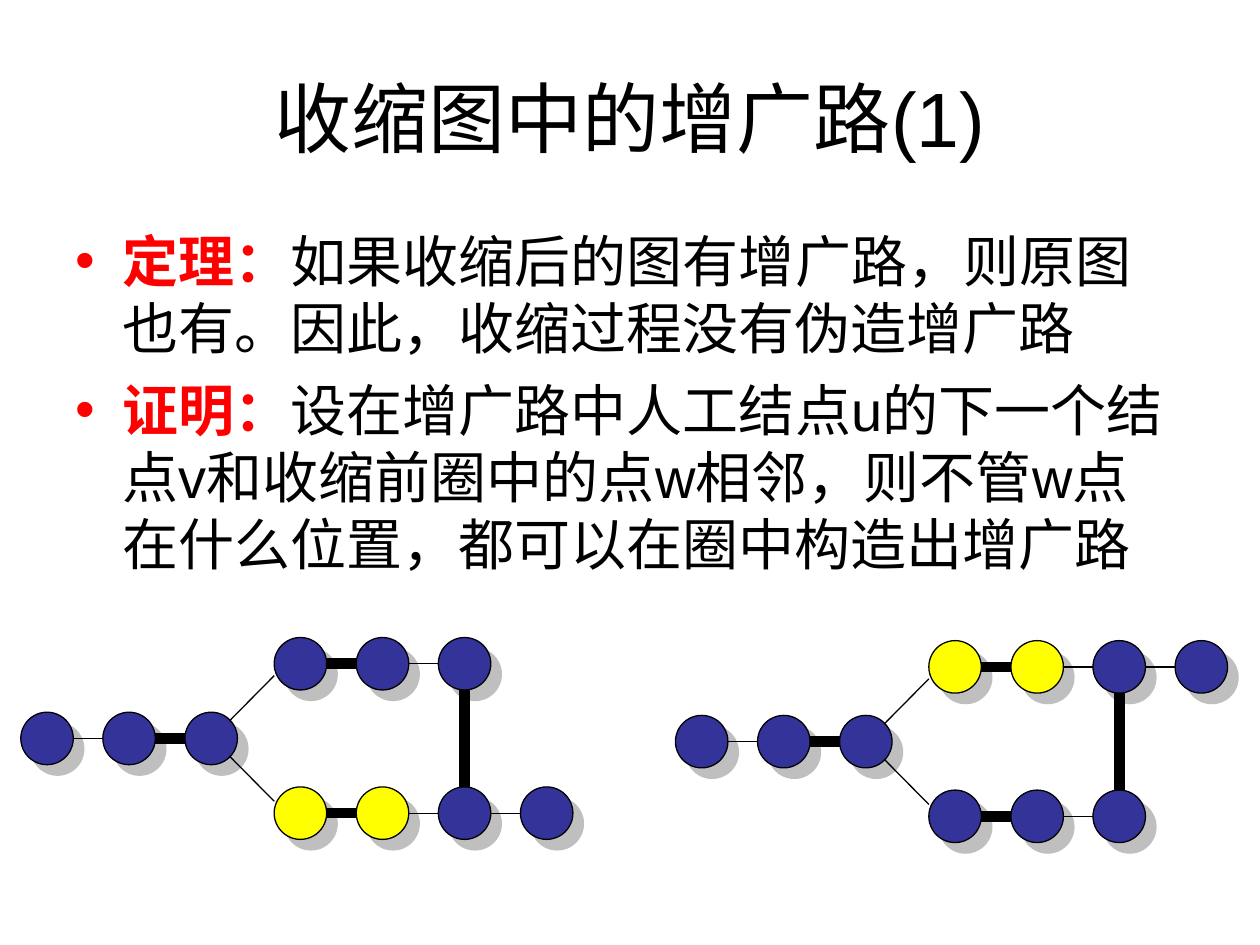
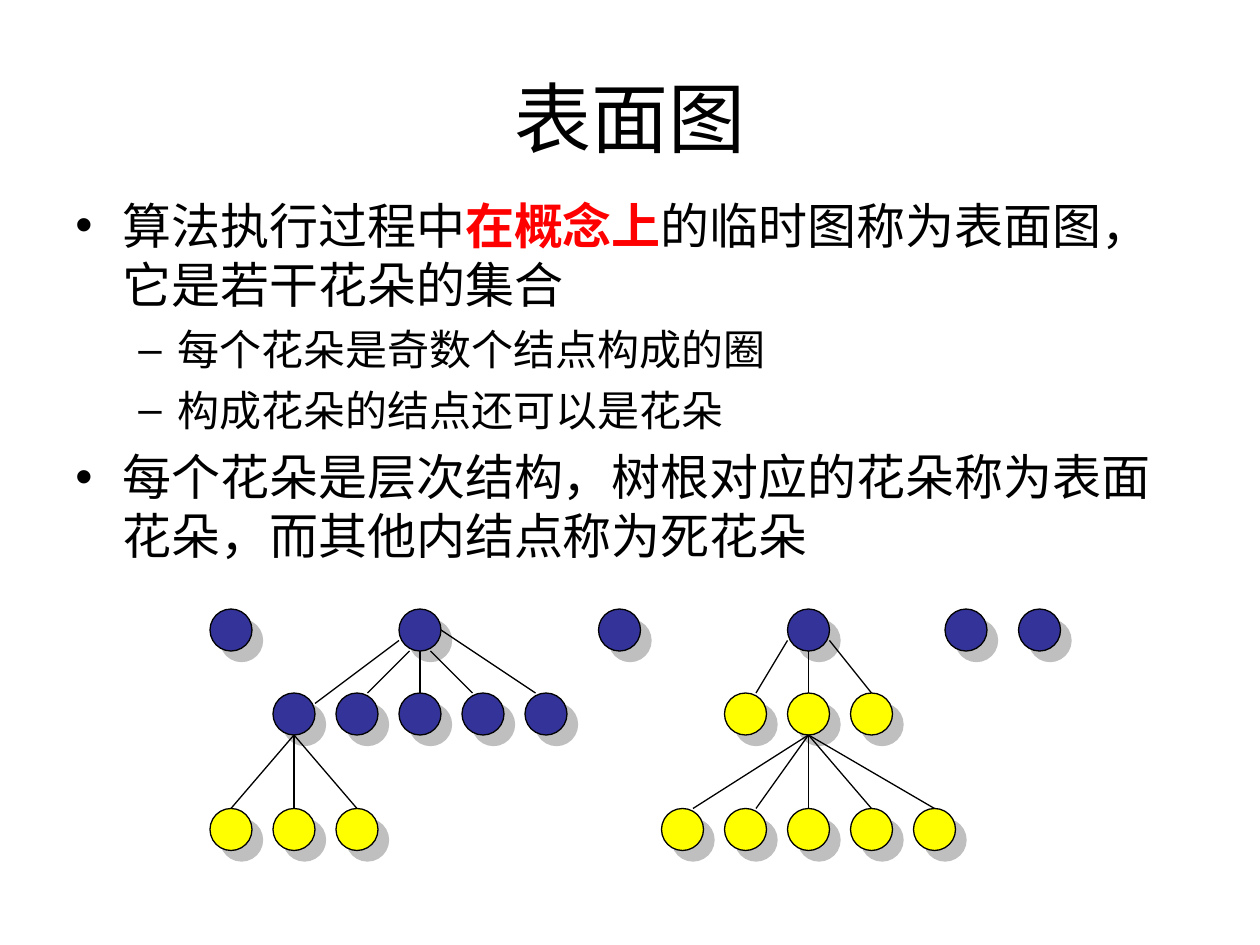
"""Build two slides on augmenting paths in contracted graphs and on surface graphs."""
from typing import NamedTuple

from lxml import etree
from pptx import Presentation
from pptx.dml.color import RGBColor
from pptx.enum.shapes import MSO_CONNECTOR, MSO_SHAPE
from pptx.enum.text import MSO_ANCHOR, PP_ALIGN
from pptx.oxml.ns import qn
from pptx.shapes.shapetree import GroupShapes, SlideShapes
from pptx.slide import Slide
from pptx.util import Pt

OVAL = MSO_SHAPE.OVAL
STRAIGHT = MSO_CONNECTOR.STRAIGHT
MIDDLE = MSO_ANCHOR.MIDDLE
TOP = MSO_ANCHOR.TOP
CENTER = PP_ALIGN.CENTER

BLACK = RGBColor(0x00, 0x00, 0x00)
RED = RGBColor(0xFF, 0x00, 0x00)
BLUE = RGBColor(0x33, 0x33, 0x99)
YELLOW = RGBColor(0xFF, 0xFF, 0x00)
SHADOW_GREY = RGBColor(0x80, 0x80, 0x80)

FONT = "Arial"
TITLE_SIZE = 44
MARGIN = 36
TEXT_WIDTH = 648
THIN, THICK = 0.75, 6
VERTEX_SIZE = 30
VERTEX_PITCH = 46.9
BRANCH_OFFSET = 144.8
BRANCH_RISE = 42.7
BLOSSOM_SIZE = 24
BLOSSOM_PITCH = 36
ROOT_Y, CHILD_Y, LEAF_Y = 360, 408, 474


class Point(NamedTuple):
    """Position in points."""
    x: float
    y: float


class Node(NamedTuple):
    """Graph node given by its centre."""
    center: Point
    color: RGBColor


class Edge(NamedTuple):
    """Straight line between two points."""
    start: Point
    end: Point
    weight: float = THIN


class Phrase(NamedTuple):
    """Stretch of text, emphasised or plain."""
    text: str
    emphasised: bool = False


class Level(NamedTuple):
    """Bullet style of one outline level."""
    mark: str
    left: float
    hanging: float


class Bullet(NamedTuple):
    """Bulleted paragraph."""
    phrases: list[Phrase]
    size: float
    level: int = 0


class PathCase(NamedTuple):
    """One way the augmenting path leaves the cycle."""
    origin: Point
    upper_detour: bool


LEVELS = [Level("•", 27, 27), Level("–", 58.5, 22.5)]

THEOREM = [
    Bullet([Phrase("定理：", True),
            Phrase("如果收缩后的图有增广路，则原图也有。因此，收缩过程没有伪造增广路")], 32),
    Bullet([Phrase("证明：", True),
            Phrase("设在增广路中人工结点u的下一个结点v和收缩前圈中的点w相邻，"
                   "则不管w点在什么位置，都可以在圈中构造出增广路")], 32),
]
SURFACE = [
    Bullet([Phrase("算法执行过程中"), Phrase("在概念上", True),
            Phrase("的临时图称为表面图，它是若干花朵的集合")], 28),
    Bullet([Phrase("每个花朵是奇数个结点构成的圈")], 24, 1),
    Bullet([Phrase("构成花朵的结点还可以是花朵")], 24, 1),
    Bullet([Phrase("每个花朵是层次结构，树根对应的花朵称为表面花朵，而其他内结点称为死花朵")], 28),
]
CASES = [PathCase(Point(26.9, 422), False), PathCase(Point(401, 423.8), True)]


def add_text_area(slide: Slide, top: float, height: float, anchor: MSO_ANCHOR):
    """Add a wrapping text box across the slide and return its text frame."""
    area = slide.shapes.add_textbox(Pt(MARGIN), Pt(top), Pt(TEXT_WIDTH), Pt(height))
    frame = area.text_frame
    frame.word_wrap = True
    frame.vertical_anchor = anchor
    return frame


def style_run(run, size: float, color: RGBColor, bold: bool = False) -> None:
    """Format one run."""
    run.font.name = FONT
    run.font.size = Pt(size)
    run.font.bold = bold
    run.font.color.rgb = color


def add_title(slide: Slide, title: str) -> None:
    """Add the centred slide title."""
    frame = add_text_area(slide, 21.6, 90, MIDDLE)
    frame.text = title
    frame.paragraphs[0].alignment = CENTER
    style_run(frame.paragraphs[0].runs[0], TITLE_SIZE, BLACK)


def mark_bullet(paragraph, level: Level, color: RGBColor) -> None:
    """Give a paragraph its hanging indent and bullet."""
    properties = paragraph._p.get_or_add_pPr()
    properties.set("marL", str(Pt(level.left)))
    properties.set("indent", str(-Pt(level.hanging)))
    bullet_color = etree.SubElement(properties, qn("a:buClr"))
    etree.SubElement(bullet_color, qn("a:srgbClr"), val=str(color))
    etree.SubElement(properties, qn("a:buFont"), typeface=FONT)
    etree.SubElement(properties, qn("a:buChar"), char=level.mark)


def add_body(slide: Slide, top: float, height: float, bullets: list[Bullet]) -> None:
    """Add the bulleted text."""
    frame = add_text_area(slide, top, height, TOP)
    for index, bullet in enumerate(bullets):
        paragraph = frame.add_paragraph() if index else frame.paragraphs[0]
        paragraph.level = bullet.level
        mark_bullet(paragraph, LEVELS[bullet.level],
                    RED if bullet.phrases[0].emphasised else BLACK)
        if index:
            paragraph.space_before = Pt(bullet.size / 4)
        for phrase in bullet.phrases:
            run = paragraph.add_run()
            run.text = phrase.text
            style_run(run, bullet.size, RED if phrase.emphasised else BLACK,
                      phrase.emphasised)


def draw_node(shapes: SlideShapes | GroupShapes, node: Node, size: float) -> None:
    """Draw a node with its offset grey shadow."""
    circle = shapes.add_shape(OVAL, Pt(node.center.x - size / 2),
                              Pt(node.center.y - size / 2), Pt(size), Pt(size))
    circle.fill.solid()
    circle.fill.fore_color.rgb = node.color
    circle.line.color.rgb = BLACK
    circle.line.width = Pt(THIN)
    circle.shadow.inherit = False
    effects = circle._element.spPr.find(qn("a:effectLst"))
    shadow = etree.SubElement(effects, qn("a:outerShdw"), dist=str(Pt(8.5)),
                              dir="2700000", algn="ctr", rotWithShape="0")
    tint = etree.SubElement(shadow, qn("a:srgbClr"), val=str(SHADOW_GREY))
    etree.SubElement(tint, qn("a:alpha"), val="50000")


def draw_edge(shapes: SlideShapes | GroupShapes, edge: Edge) -> None:
    """Draw an edge without shadow."""
    line = shapes.add_connector(STRAIGHT, Pt(edge.start.x), Pt(edge.start.y),
                                Pt(edge.end.x), Pt(edge.end.y))
    line.line.color.rgb = BLACK
    line.line.width = Pt(edge.weight)
    etree.SubElement(line._element.spPr, qn("a:effectLst"))


def draw_graph(shapes: SlideShapes | GroupShapes, nodes: list[Node],
               edges: list[Edge], size: float) -> None:
    """Draw all nodes, then all edges."""
    for node in nodes:
        draw_node(shapes, node, size)
    for edge in edges:
        draw_edge(shapes, edge)


def row(start: Point, count: int, pitch: float) -> list[Point]:
    """Return evenly spaced centres on one line."""
    return [Point(start.x + i * pitch, start.y) for i in range(count)]


def chain(centers: list[Point], weights: list[float]) -> list[Edge]:
    """Join neighbouring vertices rim to rim."""
    radius = VERTEX_SIZE / 2
    return [Edge(Point(a.x + radius, a.y), Point(b.x - radius, b.y), weight)
            for a, b, weight in zip(centers, centers[1:], weights)]


def draw_case(slide: Slide, case: PathCase) -> None:
    """Draw a stem, its odd cycle and the path that leaves it."""
    radius = VERTEX_SIZE / 2
    stem = row(case.origin, 3, VERTEX_PITCH)
    hub = stem[-1]
    nodes = [Node(center, BLUE) for center in stem]
    edges = chain(stem, [THIN, THICK])
    corners = []
    for side in (-1, 1):
        on_detour = (side < 0) == case.upper_detour
        start = Point(case.origin.x + BRANCH_OFFSET, case.origin.y + side * BRANCH_RISE)
        branch = row(start, 4 if on_detour else 3, VERTEX_PITCH)
        nodes += [Node(center, YELLOW if on_detour and i < 2 else BLUE)
                  for i, center in enumerate(branch)]
        edges += chain(branch, [THICK, THIN, THIN])
        edges.append(Edge(Point(hub.x + 10.4, hub.y + side * 10),
                          Point(start.x - radius, start.y - side * 6.8)))
        corners.append(branch[2])
    upper, lower = corners
    edges.append(Edge(Point(lower.x, lower.y - radius),
                      Point(upper.x, upper.y + radius), THICK))
    draw_graph(slide.shapes.add_group_shape().shapes, nodes, edges, VERTEX_SIZE)


def blossoms(x: float, y: float, count: int, color: RGBColor) -> list[Node]:
    """Return a row of blossoms starting at x."""
    return [Node(center, color) for center in row(Point(x, y), count, BLOSSOM_PITCH)]


def fan(parent: Node, children: list[Node]) -> list[Edge]:
    """Join the foot of a parent to the heads of its children, inset when far away."""
    radius = BLOSSOM_SIZE / 2
    foot = Point(parent.center.x, parent.center.y + radius)
    return [Edge(foot, Point(child.center.x, child.center.y - radius))
            for child in children]


def draw_forest(slide: Slide) -> None:
    """Draw the surface blossoms and the trees below them."""
    roots = [Node(Point(x, ROOT_Y), BLUE) for x in (132, 240, 354, 462, 552, 594)]
    left_children = blossoms(168, CHILD_Y, 5, BLUE)
    left_leaves = blossoms(132, LEAF_Y, 3, YELLOW)
    right_children = blossoms(426, CHILD_Y, 3, YELLOW)
    right_leaves = blossoms(390, LEAF_Y, 5, YELLOW)
    root_edges = [
        Edge(Point(228, 366), Point(180, 402)),
        Edge(Point(234, 372), Point(210, 396)),
        Edge(Point(240, 372), Point(240, 396)),
        Edge(Point(246, 372), Point(270, 396)),
        Edge(Point(252, 360), Point(306, 396)),
        Edge(Point(450, 366), Point(432, 396)),
        Edge(Point(462, 372), Point(462, 396)),
        Edge(Point(474, 366), Point(498, 396)),
    ]
    right_fan = [Edge(edge.start, Point(edge.end.x + shift, edge.end.y))
                 for edge, shift in zip(fan(right_children[1], right_leaves),
                                        (6, 6, 0, 0, 0))]
    draw_graph(slide.shapes,
               roots + left_children + left_leaves + right_children + right_leaves,
               root_edges + fan(left_children[0], left_leaves) + right_fan,
               BLOSSOM_SIZE)


def main() -> None:
    """Build and save the presentation."""
    deck = Presentation()
    deck.slide_width, deck.slide_height = Pt(720), Pt(540)
    blank = deck.slide_layouts[6]

    augmenting = deck.slides.add_slide(blank)
    add_title(augmenting, "收缩图中的增广路(1)")
    add_body(augmenting, 126, 356.4, THEOREM)
    for case in CASES:
        draw_case(augmenting, case)

    surface = deck.slides.add_slide(blank)
    add_title(surface, "表面图")
    add_body(surface, 108, 221.8, SURFACE)
    draw_forest(surface)

    deck.save("out.pptx")


if __name__ == "__main__":
    main()
